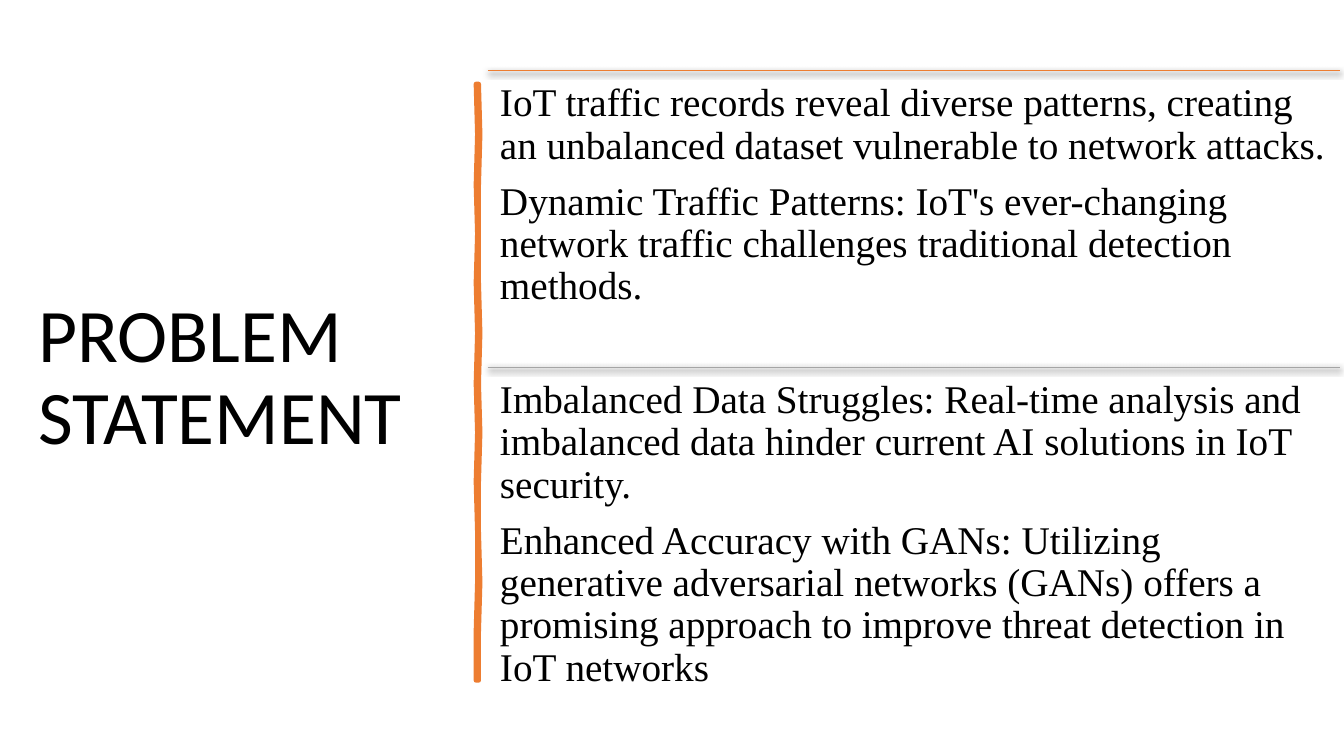
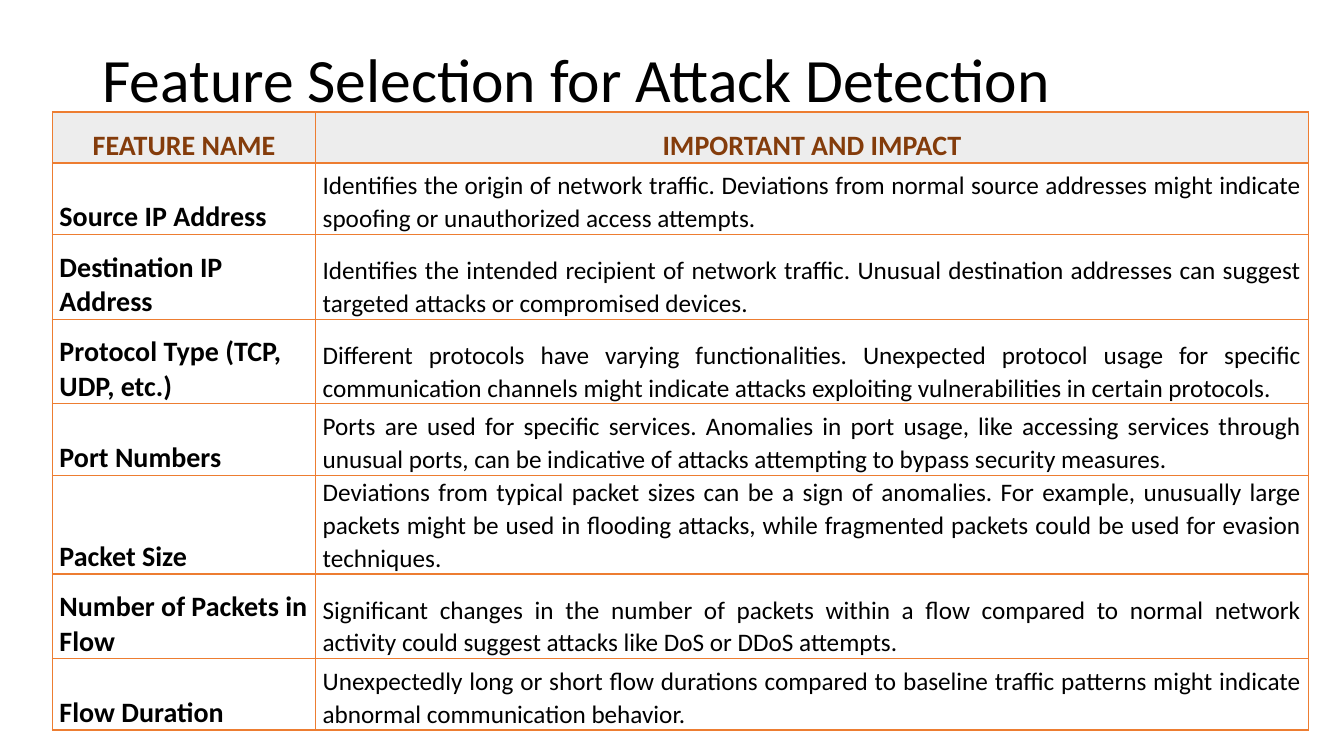
from dataclasses import dataclass

import lxml.etree
import pptx
import pptx.dml.color
import pptx.enum.dml
import pptx.enum.shapes
import pptx.enum.text
import pptx.oxml
import pptx.oxml.ns
import pptx.util

Pt = pptx.util.Pt
RGB = pptx.dml.color.RGBColor
Align = pptx.enum.text.PP_ALIGN
Anchor = pptx.enum.text.MSO_ANCHOR
qn = pptx.oxml.ns.qn


@dataclass(frozen=True)
class Theme:
    ink: RGB = RGB.from_string("000000")
    accent: RGB = RGB.from_string("ED7D31")
    gray: RGB = RGB.from_string("A5A5A5")
    header_fill: RGB = RGB.from_string("EDEDED")
    header_ink: RGB = RGB.from_string("843C0B")
    sans: str = "Calibri"
    serif: str = "Times New Roman"
    large_title: float = 54
    title: float = 44
    statement: float = 28
    feature: float = 20
    impact: float = 18


@dataclass(frozen=True)
class Box:
    left: float
    top: float
    width: float
    height: float


@dataclass(frozen=True)
class TextStyle:
    size: float
    font: str
    color: RGB
    bold: bool = False
    align: Align = Align.LEFT
    line_spacing: float = 1.0
    space_after: float = 0


@dataclass(frozen=True)
class Statement:
    box: Box
    rule_color: RGB
    points: tuple[str, ...]


@dataclass(frozen=True)
class Feature:
    name: str
    impact: str
    height: float


THEME = Theme()
STATEMENT_STYLE = TextStyle(THEME.statement, THEME.serif, THEME.ink,
                            line_spacing=0.9, space_after=9.8)
HEADER_STYLE = TextStyle(THEME.feature, THEME.sans, THEME.header_ink, True,
                         Align.CENTER, 1.07, 8)
NAME_STYLE = TextStyle(THEME.feature, THEME.sans, THEME.ink, True, space_after=8)
IMPACT_STYLE = TextStyle(THEME.impact, THEME.sans, THEME.ink, False,
                         Align.JUSTIFY, 1.07, 8)

STATEMENTS = (
    Statement(Box(348.5, 50.5, 608.5, 212), THEME.accent, (
        "IoT traffic records reveal diverse patterns, creating an unbalanced "
        "dataset vulnerable to network attacks.",
        "Dynamic Traffic Patterns: IoT's ever-changing network traffic "
        "challenges traditional detection methods.",
    )),
    Statement(Box(348.5, 262.5, 608.5, 277), THEME.gray, (
        "Imbalanced Data Struggles: Real-time analysis and imbalanced data "
        "hinder current AI solutions in IoT security.",
        "Enhanced Accuracy with GANs: Utilizing generative adversarial networks "
        "(GANs) offers a promising approach to improve threat detection in IoT "
        "networks",
    )),
)

HEADER = Feature("FEATURE NAME", "IMPORTANT AND IMPACT", 36.5)
FEATURES = (
    Feature("Source IP Address",
            "Identifies the origin of network traffic. Deviations from normal source "
            "addresses might indicate spoofing or unauthorized access attempts.", 51),
    Feature("Destination IP Address",
            "Identifies the intended recipient of network traffic. Unusual destination "
            "addresses can suggest targeted attacks or compromised devices.", 60.5),
    Feature("Protocol Type (TCP, UDP, etc.)",
            "Different protocols have varying functionalities. Unexpected protocol usage "
            "for specific communication channels might indicate attacks exploiting "
            "vulnerabilities in certain protocols.", 60.5),
    Feature("Port Numbers",
            "Ports are used for specific services. Anomalies in port usage, like "
            "accessing services through unusual ports, can be indicative of attacks "
            "attempting to bypass security measures.", 51),
    Feature("Packet Size",
            "Deviations from typical packet sizes can be a sign of anomalies. For "
            "example, unusually large packets might be used in flooding attacks, while "
            "fragmented packets could be used for evasion techniques.", 70.5),
    Feature("Number of Packets in Flow",
            "Significant changes in the number of packets within a flow compared to "
            "normal network activity could suggest attacks like DoS or DDoS attempts.", 60.5),
    Feature("Flow Duration",
            "Unexpectedly long or short flow durations compared to baseline traffic "
            "patterns might indicate abnormal communication behavior.", 51),
)


def place(shape, box: Box) -> None:
    shape.left, shape.top = Pt(box.left), Pt(box.top)
    shape.width, shape.height = Pt(box.width), Pt(box.height)


def style_paragraph(paragraph, style: TextStyle) -> None:
    paragraph.alignment = style.align
    paragraph.line_spacing = style.line_spacing
    paragraph.space_before = Pt(0)
    paragraph.space_after = Pt(style.space_after)
    paragraph.font.size = Pt(style.size)
    paragraph.font.name = style.font
    paragraph.font.bold = style.bold
    paragraph.font.color.rgb = style.color


def set_title(slide, text: str, box: Box, size: float) -> None:
    title = slide.shapes.title
    place(title, box)
    frame = title.text_frame
    frame.text = text
    frame.word_wrap = True
    frame.auto_size = pptx.enum.text.MSO_AUTO_SIZE.NONE
    frame.vertical_anchor = Anchor.MIDDLE
    style_paragraph(frame.paragraphs[0],
                    TextStyle(size, THEME.sans, THEME.ink, line_spacing=0.9))


def fill_statement(body, statement: Statement) -> None:
    place(body, statement.box)
    frame = body.text_frame
    frame.text = "\n".join(statement.points)
    frame.word_wrap = True
    frame.auto_size = pptx.enum.text.MSO_AUTO_SIZE.NONE
    frame.vertical_anchor = Anchor.TOP
    frame.margin_left = frame.margin_right = Pt(8.65)
    frame.margin_top = frame.margin_bottom = Pt(8.65)
    for paragraph in frame.paragraphs:
        style_paragraph(paragraph, STATEMENT_STYLE)
        properties = paragraph._p.get_or_add_pPr()
        properties.set("marL", "0")
        properties.set("indent", "0")
        lxml.etree.SubElement(properties, qn("a:buNone"))


def add_rule(slide, box: Box, color: RGB) -> None:
    rule = slide.shapes.add_connector(
        pptx.enum.shapes.MSO_CONNECTOR.STRAIGHT,
        Pt(box.left), Pt(box.top), Pt(box.left + box.width), Pt(box.top))
    rule.line.color.rgb = color
    rule.line.width = Pt(0.5)
    effects = lxml.etree.SubElement(rule._element.spPr, qn("a:effectLst"))
    shadow = lxml.etree.SubElement(
        effects, qn("a:outerShdw"), blurRad=str(Pt(4.5)), dist=str(Pt(1.5)),
        dir="5400000", algn="ctr", rotWithShape="0")
    tint = lxml.etree.SubElement(shadow, qn("a:srgbClr"), val=str(THEME.ink))
    lxml.etree.SubElement(tint, qn("a:alpha"), val="63000")


def add_brush_stroke(slide, box: Box) -> None:
    sway = (0, 0.6, -0.4, 0.3, 0, 0.6, -0.3, 0.8, -0.5, 0.4, 0.8, -0.2, 0)
    step = box.height / (len(sway) - 1)
    left_edge = [(box.left + shift, box.top + row * step)
                 for row, shift in enumerate(sway)]
    right_edge = [(x + box.width, y) for x, y in left_edge]
    outline = right_edge + left_edge[::-1]
    builder = slide.shapes.build_freeform(*outline[0], scale=float(Pt(1)))
    builder.add_line_segments(outline[1:], close=True)
    stroke = builder.convert_to_shape()
    stroke.shadow.inherit = False
    stroke.fill.solid()
    stroke.fill.fore_color.rgb = THEME.accent
    stroke.line.color.rgb = THEME.accent
    stroke.line.width = Pt(3.25)


def add_borders(cell, color: RGB, width: float) -> None:
    properties = cell._tc.get_or_add_tcPr()
    for position, side in enumerate(("lnL", "lnR", "lnT", "lnB")):
        border = lxml.etree.Element(qn(f"a:{side}"), w=str(Pt(width)))
        fill = lxml.etree.SubElement(border, qn("a:solidFill"))
        lxml.etree.SubElement(fill, qn("a:srgbClr"), val=str(color))
        properties.insert(position, border)


def fill_cell(cell, text: str, style: TextStyle, shaded: bool) -> None:
    cell.text = text
    cell.vertical_anchor = Anchor.BOTTOM
    cell.margin_left = cell.margin_right = Pt(5)
    cell.margin_top = cell.margin_bottom = Pt(0)
    style_paragraph(cell.text_frame.paragraphs[0], style)
    if shaded:
        cell.fill.solid()
        cell.fill.fore_color.rgb = THEME.header_fill
    else:
        cell.fill.background()
    add_borders(cell, THEME.accent, 1)


def add_feature_table(slide, left: float, top: float,
                      widths: tuple[float, float]) -> None:
    entries = (HEADER, *FEATURES)
    table = slide.shapes.add_table(
        len(entries), len(widths), Pt(left), Pt(top), Pt(sum(widths)),
        Pt(sum(entry.height for entry in entries))).table
    table.horz_banding = False
    for column, width in zip(table.columns, widths):
        column.width = Pt(width)
    for index, entry in enumerate(entries):
        table.rows[index].height = Pt(entry.height)
        shaded = entry is HEADER
        styles = (HEADER_STYLE,) * 2 if shaded else (NAME_STYLE, IMPACT_STYLE)
        for column, text in enumerate((entry.name, entry.impact)):
            fill_cell(table.cell(index, column), text, styles[column], shaded)


def build_problem_slide(deck) -> None:
    slide = deck.slides.add_slide(deck.slide_layouts.get_by_name("Two Content"))
    set_title(slide, "PROBLEM STATEMENT", Box(20, 50.5, 305, 440), THEME.large_title)
    add_brush_stroke(slide, Box(340.5, 60.5, 1.5, 426))
    for index, statement in enumerate(STATEMENTS, start=1):
        add_rule(slide, statement.box, statement.rule_color)
        fill_statement(slide.placeholders[index], statement)


def build_feature_slide(deck) -> None:
    slide = deck.slides.add_slide(deck.slide_layouts.get_by_name("Title Only"))
    set_title(slide, "Feature Selection for Attack Detection",
              Box(66, 28.5, 828, 61), THEME.title)
    add_feature_table(slide, 37.5, 80, (188, 709))


def main() -> None:
    deck = pptx.Presentation()
    deck.slide_width, deck.slide_height = Pt(960), Pt(540)
    build_problem_slide(deck)
    build_feature_slide(deck)
    deck.save("out.pptx")


if __name__ == "__main__":
    main()
